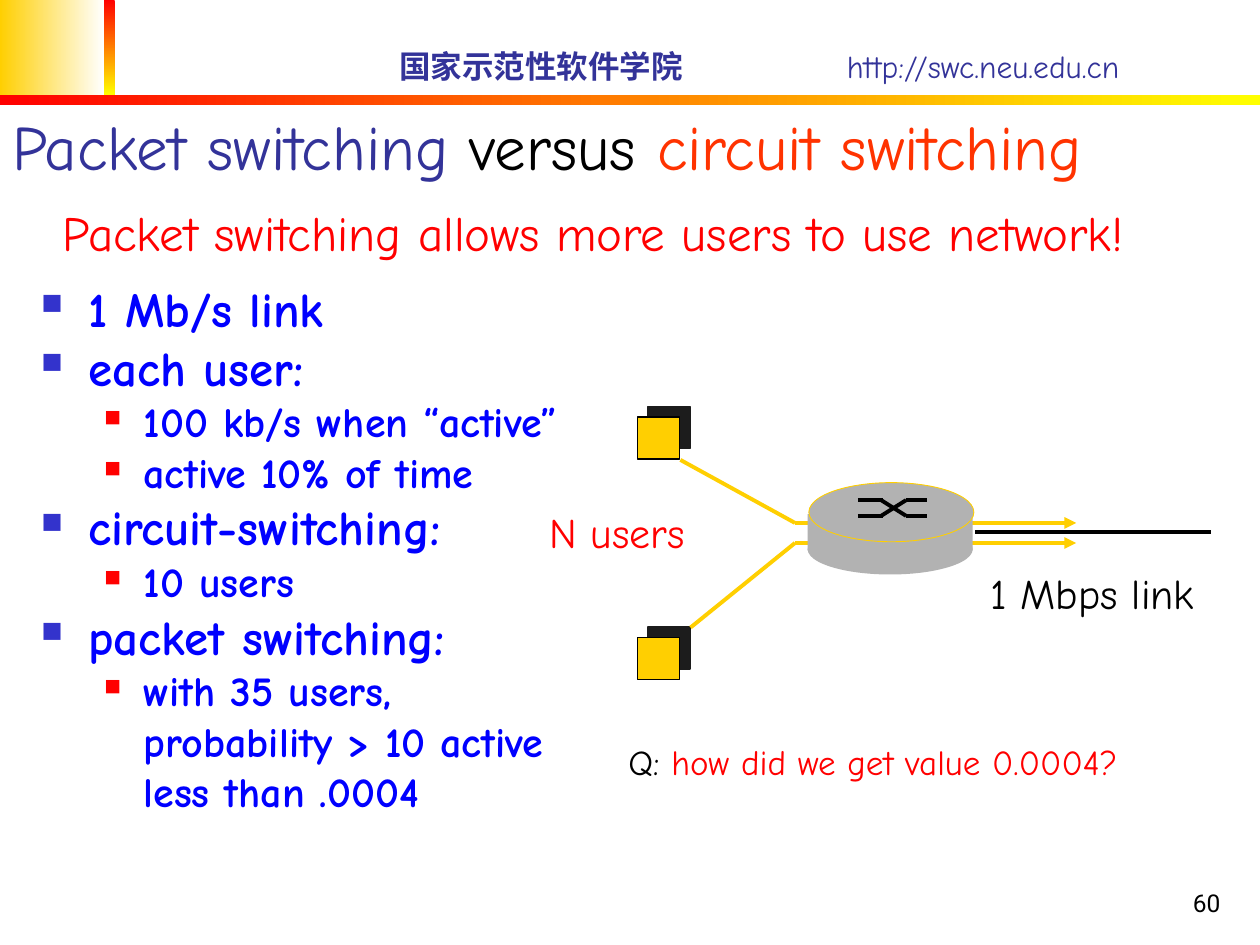
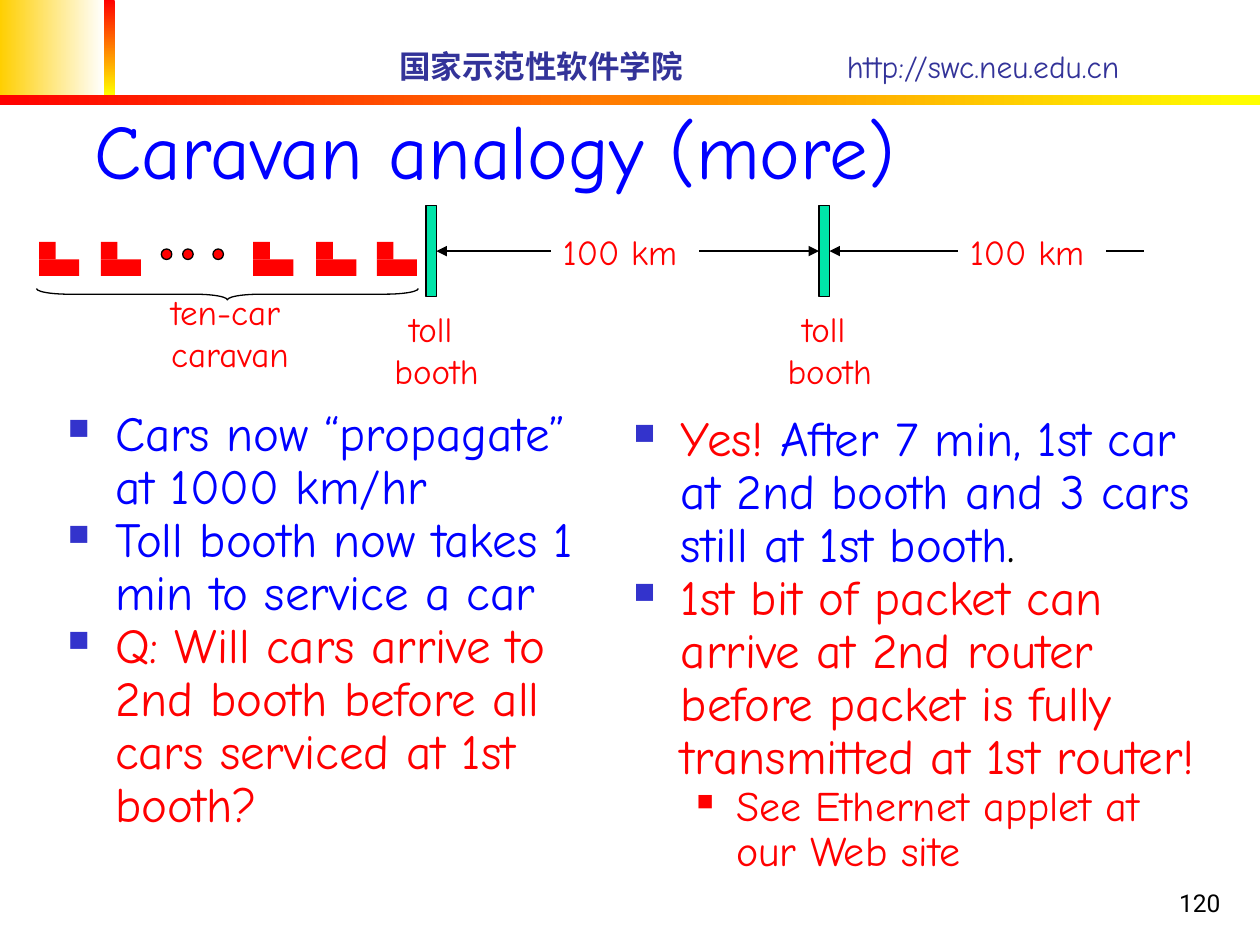
import pptx
import pptx.util
import pptx.dml.color
import pptx.enum.shapes
import pptx.enum.text
import pptx.oxml.ns
from lxml import etree

Pt = pptx.util.Pt
SHAPE = pptx.enum.shapes.MSO_SHAPE
ANCHOR = pptx.enum.text.MSO_ANCHOR
ALIGN = pptx.enum.text.PP_ALIGN
FIT = pptx.enum.text.MSO_AUTO_SIZE

COLORS = {
    "navy": "333399", "blue": "0000FF", "red": "FF0000", "orange": "FF3300",
    "black": "000000", "gold": "FFCF01", "yellow": "FFFF00", "white": "FFFFFF",
    "gray": "B2B2B2", "green": "00E4A8", "shadow": "1C1C1C", "square": "3333CC",
}
FONT = "Comic Neue"
NUMBER_FONT = "Roboto"

SCHOOL = "国家示范性软件学院"
SCHOOL_SITE = "http://swc.neu.edu.cn"

# A paragraph is a string or a list of (text, color) runs; list items add a level.
SWITCHING_TITLE = [("Packet switching ", "navy"), ("versus ", "black"),
                   ("circuit switching", "orange")]
SWITCHING_CLAIM = "Packet switching allows more users to use network!"
SWITCHING_POINTS = [
    (0, "1 Mb/s link"),
    (0, "each user:"),
    (1, "100 kb/s when “active”"),
    (1, "active 10% of time"),
    (0, "circuit-switching:"),
    (1, "10 users"),
    (0, "packet switching:"),
    (1, "with 35 users, probability > 10 active less than .0004"),
]
SWITCHING_QUESTION = [("Q: ", "black"), ("how did we get value 0.0004?", "red")]

CARAVAN_TITLE = "Caravan analogy (more)"
CARAVAN_SETUP = [
    (0, "Cars now “propagate” at 1000 km/hr"),
    (0, "Toll booth now takes 1 min to service a car"),
    (0, [("Q: Will cars arrive to 2nd booth before all cars serviced at 1st booth?", "red")]),
]
CARAVAN_ANSWER = [
    (0, [("Yes! ", "red"),
         ("After 7 min, 1st car at 2nd booth and 3 cars still at 1st booth", "blue"),
         (".", "black")]),
    (0, [("1st bit of packet can arrive at 2nd router before packet is fully "
          "transmitted at 1st router!", "red")]),
    (1, [("See Ethernet applet at our Web site", "red")]),
]

# Per list level: text size, left margin, hanging indent, bullet color, bullet percent
LEVELS = [(28, 27, 27, "square", 60), (24, 58.5, 22.5, "red", 55)]


def rgb(name):
    return pptx.dml.color.RGBColor.from_string(COLORS[name])


def add_child(parent, tag, **attributes):
    child = etree.SubElement(parent, pptx.oxml.ns.qn(tag))
    for key, value in attributes.items():
        child.set(key, str(value))
    return child


def write_text(slide, paragraphs, box, size=20, color="red", font=FONT, bold=False,
               align=ALIGN.LEFT, anchor=ANCHOR.TOP, wrap=True, spacing=None):
    """Add a text box; (level, content) paragraphs become bulleted list items."""
    text_box = slide.shapes.add_textbox(*map(Pt, box))
    frame = text_box.text_frame
    frame.word_wrap = wrap
    frame.auto_size = FIT.NONE if wrap else FIT.SHAPE_TO_FIT_TEXT
    frame.vertical_anchor = anchor
    for index, content in enumerate(paragraphs):
        paragraph = frame.add_paragraph() if index else frame.paragraphs[0]
        run_size = size
        if isinstance(content, tuple):
            level, content = content
            run_size = LEVELS[level][0]
            add_bullet(paragraph, level)
        paragraph.alignment = align
        if spacing:
            paragraph.line_spacing = spacing
        runs = [(content, color)] if isinstance(content, str) else content
        for words, run_color in runs:
            run = paragraph.add_run()
            run.text = words
            run.font.name = font
            run.font.size = Pt(run_size)
            run.font.bold = bold
            run.font.color.rgb = rgb(run_color)
    return text_box


def add_bullet(paragraph, level):
    _, margin, hang, color, percent = LEVELS[level]
    paragraph.level = level
    properties = paragraph._p.get_or_add_pPr()
    properties.set("marL", str(int(Pt(margin))))
    properties.set("indent", str(-int(Pt(hang))))
    bullet_color = add_child(properties, "a:buClr")
    add_child(bullet_color, "a:srgbClr", val=COLORS[color])
    add_child(properties, "a:buSzPct", val=percent * 1000)
    add_child(properties, "a:buChar", char="■")


def draw(slide, kind, box, fill=None, line=None, width=0.75):
    shape = slide.shapes.add_shape(kind, *map(Pt, box))
    shape.shadow.inherit = False
    if fill:
        shape.fill.solid()
        shape.fill.fore_color.rgb = rgb(fill)
    else:
        shape.fill.background()
    if line:
        shape.line.color.rgb = rgb(line)
        shape.line.width = Pt(width)
    else:
        shape.line.fill.background()
    return shape


def gradient_band(slide, box, start, end, angle):
    band = draw(slide, SHAPE.RECTANGLE, box)
    band.fill.gradient()
    band.fill.gradient_angle = angle
    for stop, color in zip(band.fill.gradient_stops, (start, end)):
        stop.color.rgb = rgb(color)


def connect(slide, start, end, color="black", width=0.75, arrow=False):
    """Draw a line; each end is an (x, y) point or a (shape, side) joint."""
    is_joint = [not isinstance(tip[0], (int, float)) for tip in (start, end)]
    points = [(0, 0) if joint else tip for joint, tip in zip(is_joint, (start, end))]
    line = slide.shapes.add_connector(
        pptx.enum.shapes.MSO_CONNECTOR.STRAIGHT,
        *(Pt(value) for point in points for value in point))
    if is_joint[0]:
        line.begin_connect(*start)
    if is_joint[1]:
        line.end_connect(*end)
    line.line.color.rgb = rgb(color)
    line.line.width = Pt(width)
    if arrow:
        add_child(line.line._get_or_add_ln(), "a:tailEnd", type="triangle")
    add_child(line._element.spPr, "a:effectLst")


def start_slide(deck, number, title, title_box, title_size):
    """Add a slide with the shared bands, header, page number and title."""
    slide = deck.slides.add_slide(deck.slide_layouts[6])
    gradient_band(slide, (0, 0, 59.5, 54.5), "gold", "white", 0)
    gradient_band(slide, (59.5, 0, 6, 54.5), "red", "yellow", 270)
    gradient_band(slide, (0, 54.5, 720, 5.5), "red", "yellow", 0)
    header = dict(size=18, color="navy", anchor=ANCHOR.MIDDLE)
    write_text(slide, [SCHOOL], (221, 23, 200, 29), bold=True, **header)
    write_text(slide, [SCHOOL_SITE], (476.8, 23, 220, 29), **header)
    write_text(slide, [str(number)], (554.5, 492, 150, 36), size=14, color="black",
               font=NUMBER_FONT, align=ALIGN.RIGHT, anchor=ANCHOR.BOTTOM)
    write_text(slide, [title], title_box, size=title_size, color="blue",
               anchor=ANCHOR.BOTTOM)
    return slide


def draw_host(slide, left, top):
    host = draw(slide, SHAPE.RECTANGLE, (left, top, 24, 24), "gold", "black")
    effects = host._element.spPr.find(pptx.oxml.ns.qn("a:effectLst"))
    shadow = add_child(effects, "a:outerShdw", dist=int(Pt(8.5)), dir=315 * 60000,
                       algn="ctr", rotWithShape=0)
    add_child(shadow, "a:srgbClr", val=COLORS["shadow"])


def draw_router(slide, left, top):
    draw(slide, SHAPE.OVAL, (left, top + 23.7, 94.3, 28.8), "gray")
    draw(slide, SHAPE.RECTANGLE, (left, top + 18, 94.3, 20.9), "gray")
    draw(slide, SHAPE.OVAL, (left + 0.7, top, 94.3, 33.8), "gray", "gold", 0.5)
    upper, lower = top + 10, top + 19
    for y, opposite in ((upper, lower), (lower, upper)):
        for x1, x2, end_y in ((28.8, 43.2, y), (42, 56.3, opposite), (56.3, 68.5, y)):
            connect(slide, (left + x1, y), (left + x2, end_y), width=2.25)


def build_switching(deck):
    slide = start_slide(deck, 60, SWITCHING_TITLE, (0, 18, 720, 90), 36)
    write_text(slide, SWITCHING_POINTS, (16.5, 155.5, 324, 366), color="blue", bold=True)
    write_text(slide, [SWITCHING_CLAIM], (28.8, 112.3, 691, 48), size=28)

    for top in (238.3, 364.3):
        draw_host(slide, 364.3, top)
    bend_x, arrow_x = 454.3, 615
    for host_corner, y in (((388.8, 262.8), 298.8), ((394.6, 358.6), 310.3)):
        connect(slide, host_corner, (bend_x, y), "gold", 2.25)
        connect(slide, (bend_x, y), (arrow_x, y), "gold", 2.25, arrow=True)
    draw_router(slide, 461.5, 275.8)
    connect(slide, (557.3, 303.8), (692, 303.8), width=2.25)

    write_text(slide, ["N users"], (306.7, 285.8, 100.8, 36), size=24, wrap=False)
    write_text(slide, ["1 Mbps link"], (558.7, 321, 138, 36), size=24, color="black",
               wrap=False)
    write_text(slide, [SWITCHING_QUESTION], (352, 419.8, 318, 31), wrap=False)


def draw_booth(slide, left):
    booth = draw(slide, SHAPE.RECTANGLE, (left, 117.5, 6, 52), "green", "black")
    write_text(slide, ["toll ", "booth"], (left - 28.1, 172, 68.4, 55.4),
               align=ALIGN.CENTER, wrap=False)
    return booth


def draw_car(slide, left):
    draw(slide, SHAPE.RECTANGLE, (left, 148.2, 23, 9.5), "red")
    draw(slide, SHAPE.RECTANGLE, (left, 138.2, 9.5, 10), "red")


def build_caravan(deck):
    slide = start_slide(deck, 120, CARAVAN_TITLE, (46.8, 0, 613.4, 115.2), 44)
    points = dict(color="blue", spacing=0.9)
    write_text(slide, CARAVAN_SETUP, (31.7, 230.4, 325.4, 261.4), **points)
    write_text(slide, CARAVAN_ANSWER, (355, 233.3, 344.2, 265), **points)

    for left in (22.3, 57.6, 144.7, 180.7, 215.3):
        draw_car(slide, left)
    for left in (92.2, 104.4, 121.7):
        draw(slide, SHAPE.OVAL, (left, 142.3, 6, 6), "red", "black")
    brace = draw(slide, SHAPE.LEFT_BRACE, (126.7, 59, 6.5, 218.2), line="black")
    brace.rotation = 270
    brace.adjustments[0] = 2.9
    write_text(slide, ["ten-car", "caravan"], (90.7, 162.7, 90, 55.4), wrap=False)

    first_booth, second_booth = (draw_booth(slide, left) for left in (243.4, 468))
    first_road, second_road = (
        write_text(slide, ["100 km"], (left, 128, 85, 31)) for left in (314.6, 547.2))
    for road, road_side, booth, booth_side in (
            (first_road, 1, first_booth, 3),
            (first_road, 3, second_booth, 1),
            (second_road, 1, second_booth, 3)):
        connect(slide, (road, road_side), (booth, booth_side), arrow=True)
    connect(slide, (second_road, 3), (653.8, 143.5))


def main():
    deck = pptx.Presentation()
    deck.slide_width, deck.slide_height = Pt(720), Pt(540)
    build_switching(deck)
    build_caravan(deck)
    deck.save("out.pptx")


if __name__ == "__main__":
    main()
